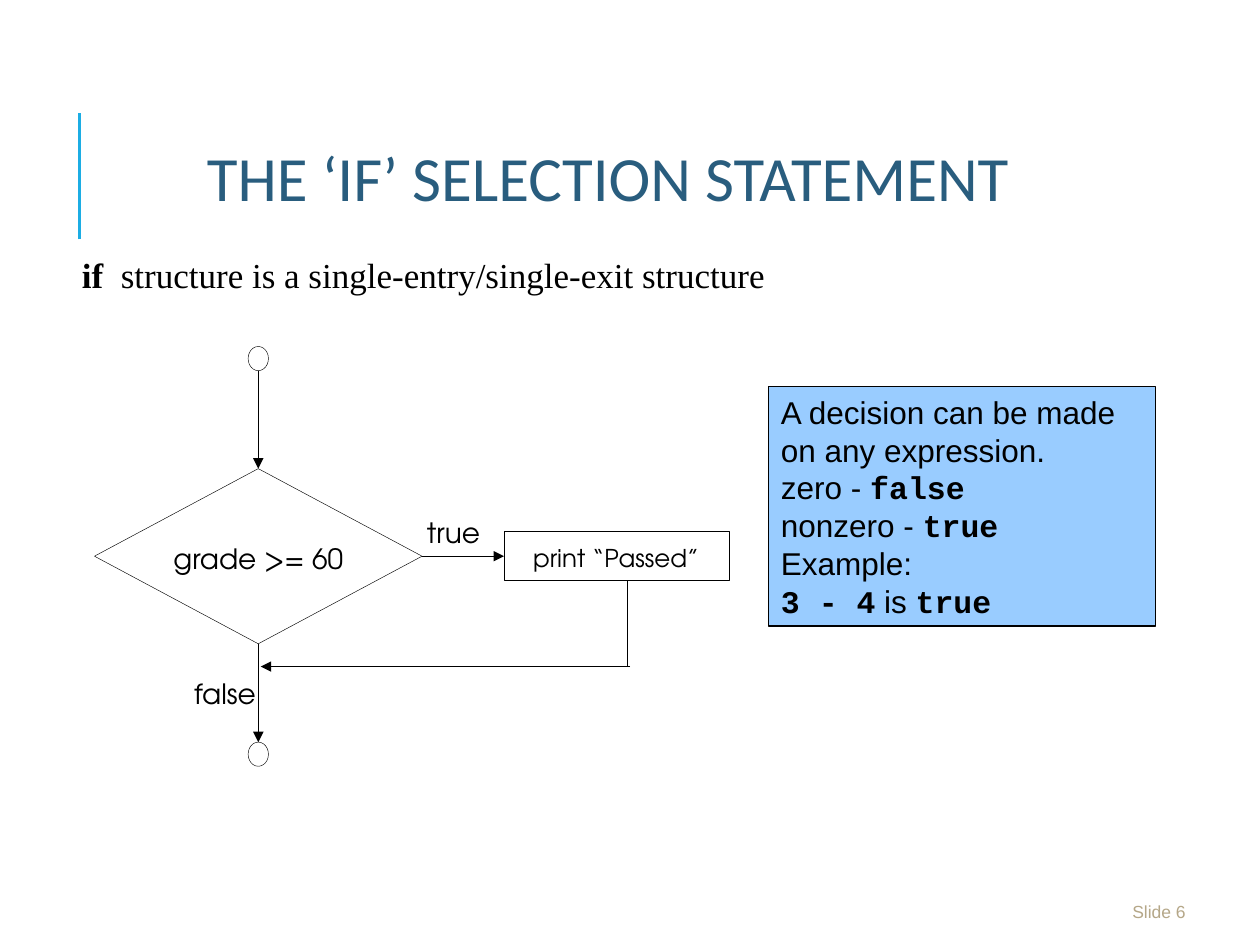
from dataclasses import dataclass
from typing import NamedTuple, Optional

from lxml import etree
from pptx import Presentation
from pptx.dml.color import RGBColor
from pptx.enum.shapes import MSO_CONNECTOR, MSO_SHAPE
from pptx.enum.text import MSO_ANCHOR, MSO_AUTO_SIZE, PP_ALIGN
from pptx.oxml.ns import qn
from pptx.util import Pt

STRAIGHT = MSO_CONNECTOR.STRAIGHT
OVAL, DIAMOND, RECTANGLE = MSO_SHAPE.OVAL, MSO_SHAPE.DIAMOND, MSO_SHAPE.RECTANGLE
TOP, MIDDLE = MSO_ANCHOR.TOP, MSO_ANCHOR.MIDDLE
LEFT, CENTER = PP_ALIGN.LEFT, PP_ALIGN.CENTER
NO_AUTOFIT = MSO_AUTO_SIZE.NONE


@dataclass(frozen=True)
class Theme:
    ink: str = "000000"
    paper: str = "FFFFFF"
    accent: str = "1CADE4"
    title: str = "295D7E"
    note: str = "99CCFF"
    footer: str = "B5A788"
    title_font: str = "Calibri"
    lead_font: str = "Times New Roman"
    body_font: str = "Arial"
    code_font: str = "Courier New"
    chart_font: str = "TeX Gyre Adventor"
    title_size: float = 36
    lead_size: float = 20
    note_size: float = 18
    label_size: float = 16
    step_size: float = 14
    footer_size: float = 10
    hairline: float = 0.25
    note_line: float = 0.75
    accent_line: float = 1.5


THEME = Theme()


class Area(NamedTuple):
    left: float
    top: float
    width: float
    height: float


class Node(NamedTuple):
    kind: int
    area: Area
    fill: Optional[str] = None
    line: float = THEME.hairline


class Flow(NamedTuple):
    start: tuple[float, float]
    end: tuple[float, float]
    arrow: bool = True
    color: str = THEME.ink
    width: float = THEME.hairline


class Label(NamedTuple):
    text: str
    area: Area
    size: float = THEME.label_size
    align: int = LEFT
    font: str = THEME.chart_font
    color: str = THEME.ink
    anchor: int = TOP
    insets: tuple[float, float] = (0, 0)


class Piece(NamedTuple):
    text: str
    code: bool = False


AXIS = 147.6
DECISION = Area(AXIS - 93.6, 267.8, 187.2, 100.1)
BRANCH_Y = DECISION.top + DECISION.height / 2
ACTION = Area(288, BRANCH_Y - 14, 128.9, 28)
JOIN_Y = 380.9
RETURN_X = 358.6
END_TOP = 424.1
DOT_WIDTH, DOT_HEIGHT = 11.6, 13.8
START_TOP = 198
NOTE = Area(439.2, 221, 221, 136.8)

NODES = [
    Node(OVAL, Area(AXIS - DOT_WIDTH / 2, START_TOP, DOT_WIDTH, DOT_HEIGHT)),
    Node(OVAL, Area(AXIS - DOT_WIDTH / 2, END_TOP, DOT_WIDTH, DOT_HEIGHT)),
    Node(DIAMOND, DECISION, THEME.paper),
    Node(RECTANGLE, ACTION),
]
FLOWS = [
    Flow((45.4, 136.8), (45.4, 64.8), False, THEME.accent, THEME.accent_line),
    Flow((AXIS, START_TOP + DOT_HEIGHT), (AXIS, DECISION.top)),
    Flow((AXIS, DECISION.top + DECISION.height), (AXIS, END_TOP)),
    Flow((DECISION.left + DECISION.width, BRANCH_Y), (ACTION.left, BRANCH_Y)),
    Flow((RETURN_X, ACTION.top + ACTION.height), (RETURN_X, JOIN_Y), False),
    Flow((360, JOIN_Y), (149, JOIN_Y)),
]
LABELS = [
    Label("true", Area(244, 294.5, 42, 28)),
    Label("false", Area(110.9, 386.6, 50.4, 28)),
    Label("grade >= 60", Area(95, 309.6, 105.2, 21), align=CENTER),
    Label("print “Passed”", Area(295.9, 310.3, 112.4, 20), THEME.step_size, CENTER),
    Label("Slide 6", Area(640, 509.8, 57.6, 21.6), THEME.footer_size,
          font=THEME.body_font, color=THEME.footer, anchor=MIDDLE, insets=(7.2, 3.6)),
]
NOTE_LINES = [
    [Piece("A decision can be made on any expression.")],
    [Piece("zero - "), Piece("false", True)],
    [Piece("nonzero - "), Piece("true", True)],
    [Piece("Example:")],
    [Piece("3 - 4", True), Piece(" is "), Piece("true", True)],
]


def place(area: Area) -> list:
    return [Pt(value) for value in area]


def style_font(font, name: str, size: float, color: str) -> None:
    font.name = name
    font.size = Pt(size)
    font.color.rgb = RGBColor.from_string(color)


def set_frame(frame, insets: tuple[float, float], anchor: int = TOP) -> None:
    frame.word_wrap = True
    frame.auto_size = NO_AUTOFIT
    frame.vertical_anchor = anchor
    frame.margin_left = frame.margin_right = Pt(insets[0])
    frame.margin_top = frame.margin_bottom = Pt(insets[1])


def draw_node(page, node: Node):
    shape = page.shapes.add_shape(node.kind, *place(node.area))
    shape.shadow.inherit = False
    if node.fill:
        shape.fill.solid()
        shape.fill.fore_color.rgb = RGBColor.from_string(node.fill)
    else:
        shape.fill.background()
    shape.line.color.rgb = RGBColor.from_string(THEME.ink)
    shape.line.width = Pt(node.line)
    return shape


def draw_flow(page, flow: Flow) -> None:
    ends = [Pt(value) for value in (*flow.start, *flow.end)]
    connector = page.shapes.add_connector(STRAIGHT, *ends)
    connector.line.color.rgb = RGBColor.from_string(flow.color)
    connector.line.width = Pt(flow.width)
    properties = connector._element.spPr
    if flow.arrow:
        etree.SubElement(properties.find(qn("a:ln")), qn("a:tailEnd"), type="triangle")
    etree.SubElement(properties, qn("a:effectLst"))


def draw_label(page, label: Label) -> None:
    frame = page.shapes.add_textbox(*place(label.area)).text_frame
    set_frame(frame, label.insets, label.anchor)
    para = frame.paragraphs[0]
    para.text = label.text
    para.alignment = label.align
    style_font(para.font, label.font, label.size, label.color)


def draw_title(page) -> None:
    title = page.shapes.title
    title.left, title.top, title.width, title.height = place(Area(60.5, 46, 573.8, 118))
    set_frame(title.text_frame, (7.2, 3.6), MIDDLE)
    para = title.text_frame.paragraphs[0]
    para.text = "THE ‘IF’ SELECTION STATEMENT"
    para.alignment = CENTER
    para.line_spacing = 0.8
    style_font(para.font, THEME.title_font, THEME.title_size, THEME.title)


def draw_lead(page) -> None:
    frame = page.shapes.add_textbox(*place(Area(36, 144, 648, 347.8))).text_frame
    set_frame(frame, (10.8, 3.6))
    para = frame.paragraphs[0]
    para.line_spacing = 0.9
    style_font(para.font, THEME.lead_font, THEME.lead_size, THEME.ink)
    for text, bold in (("if ", True), (" structure is a single-entry/single-exit structure", False)):
        span = para.add_run()
        span.text = text
        span.font.bold = bold


def draw_note(page) -> None:
    frame = draw_node(page, Node(RECTANGLE, NOTE, THEME.note, THEME.note_line)).text_frame
    set_frame(frame, (7.2, 3.6))
    for index, pieces in enumerate(NOTE_LINES):
        para = frame.add_paragraph() if index else frame.paragraphs[0]
        para.alignment = LEFT
        style_font(para.font, THEME.body_font, THEME.note_size, THEME.ink)
        for piece in pieces:
            span = para.add_run()
            span.text = piece.text
            if piece.code:
                span.font.name = THEME.code_font
                span.font.bold = True


def main() -> None:
    deck = Presentation()
    deck.slide_width, deck.slide_height = Pt(720), Pt(540)
    page = deck.slides.add_slide(deck.slide_layouts[5])
    draw_title(page)
    draw_lead(page)
    for flow in FLOWS:
        draw_flow(page, flow)
    for node in NODES:
        draw_node(page, node)
    for label in LABELS:
        draw_label(page, label)
    draw_note(page)
    deck.save("out.pptx")


if __name__ == "__main__":
    main()
